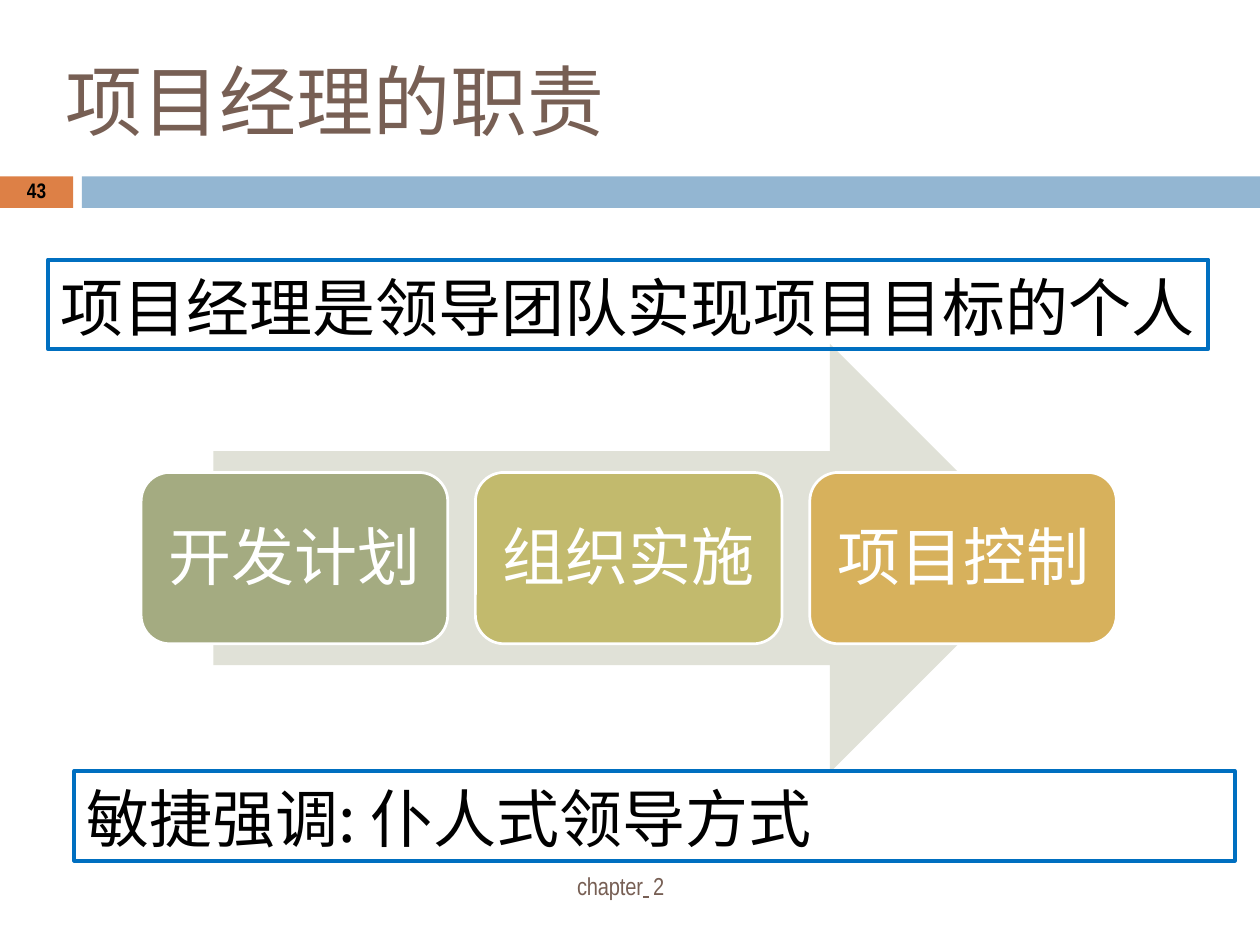
from lxml import etree
from pptx import Presentation
from pptx.dml.color import RGBColor
from pptx.enum.shapes import MSO_SHAPE
from pptx.enum.text import MSO_ANCHOR, PP_ALIGN
from pptx.oxml.ns import qn
from pptx.util import Inches, Pt

RECTANGLE = MSO_SHAPE.RECTANGLE
ROUNDED = MSO_SHAPE.ROUNDED_RECTANGLE
RIGHT_ARROW = MSO_SHAPE.RIGHT_ARROW
TOP = MSO_ANCHOR.TOP
LEFT, CENTER = PP_ALIGN.LEFT, PP_ALIGN.CENTER

WHITE = RGBColor(0xFF, 0xFF, 0xFF)
BLACK = RGBColor(0x00, 0x00, 0x00)
BROWN = RGBColor(0x77, 0x5F, 0x54)
ORANGE = RGBColor(0xDD, 0x80, 0x46)
LIGHT_BLUE = RGBColor(0x93, 0xB6, 0xD2)
BORDER_BLUE = RGBColor(0x00, 0x6F, 0xC0)
ARROW_GRAY = RGBColor(0xE0, 0xE1, 0xD7)
GREEN = RGBColor(0xA4, 0xAB, 0x81)
OLIVE = RGBColor(0xC2, 0xBA, 0x6D)
GOLD = RGBColor(0xD7, 0xB1, 0x5C)

TITLE_FONT = "Noto Sans CJK SC"
BODY_FONT = "Noto Sans CJK JP"
LATIN_FONT = "Arial Narrow"
CJK_LINE_HEIGHT = 1.3  # line pitch as a share of the font size

SLIDE_WIDTH, SLIDE_HEIGHT = 10, 7.5
STEPS = [("开发计划", GREEN), ("组织实施", OLIVE), ("项目控制", GOLD)]


def add_panel(slide, preset, box, fill=None, line=None, line_width=1):
    shape = slide.shapes.add_shape(preset, *map(Inches, box))
    shape.shadow.inherit = False
    if fill is None:
        shape.fill.background()
    else:
        shape.fill.solid()
        shape.fill.fore_color.rgb = fill
    if line is None:
        shape.line.fill.background()
    else:
        shape.line.color.rgb = line
        shape.line.width = Pt(line_width)
    return shape


def add_run(paragraph, text, size, color, font=BODY_FONT, bold=False,
            underline=False, spacing=0):
    """Spacing is the extra gap between letters, in points."""
    run = paragraph.add_run()
    run.text = text
    run.font.size = Pt(size)
    run.font.color.rgb = color
    run.font.name = font
    run.font.bold = bold
    run.font.underline = underline
    properties = run.font._element
    properties.set("spc", str(round(spacing * 100)))
    east_asian = etree.Element(qn("a:ea"), typeface=font)
    properties.find(qn("a:latin")).addnext(east_asian)


def write(shape, text="", align=LEFT, left=0, top=0.01, line_height=None,
          **run_format):
    frame = shape.text_frame
    frame.word_wrap = False
    frame.vertical_anchor = TOP
    frame.margin_left, frame.margin_top = Inches(left), Inches(top)
    frame.margin_right = frame.margin_bottom = 0
    paragraph = frame.paragraphs[0]
    paragraph.alignment = align
    if line_height:
        paragraph.line_spacing = Pt(run_format["size"] * line_height)
    if text:
        add_run(paragraph, text, **run_format)
    return paragraph


def add_text(slide, box, text="", **text_format):
    return write(slide.shapes.add_textbox(*map(Inches, box)), text, **text_format)


def add_header(slide, box, title, number):
    left, top, width, height = box
    band_height = 0.25
    band_top = top + height - band_height
    number_width, gap = 0.58, 0.07
    band_left = left + number_width + gap
    add_panel(slide, RECTANGLE, (left, band_top, number_width, band_height), ORANGE)
    add_panel(slide, RECTANGLE,
              (band_left, band_top, left + width - band_left, band_height), LIGHT_BLUE)
    add_text(slide, (left + 0.52, top + 0.33, 4.31, 0.76), title, top=0.03,
             size=44, color=BROWN, font=TITLE_FONT, line_height=CJK_LINE_HEIGHT)
    add_text(slide, (left, band_top, number_width, band_height), number,
             align=CENTER, size=12, color=BLACK, font=LATIN_FONT, bold=True)


def add_process(slide, box, steps):
    """A wide arrow with a row of equal step cards across its middle."""
    left, top, width, height = box
    inset = width * 0.074
    add_panel(slide, RIGHT_ARROW, (left + inset, top, width - 2 * inset, height),
              ARROW_GRAY)
    gap = 0.22
    card_width = (width - gap * (len(steps) - 1)) / len(steps)
    card_height = height * 0.4
    card_top = top + (height - card_height) / 2
    for index, (label, color) in enumerate(steps):
        card_left = left + index * (card_width + gap)
        card = add_panel(slide, ROUNDED, (card_left, card_top, card_width, card_height),
                         color, WHITE, 1.56)
        write(card, label, align=CENTER, top=0.24, size=36, color=WHITE,
              line_height=CJK_LINE_HEIGHT)


def add_banner(slide, box, text):
    banner = add_panel(slide, RECTANGLE, box, line=BORDER_BLUE, line_width=2.28)
    write(banner, text, left=0.1, top=0.02, size=36, color=BLACK,
          line_height=CJK_LINE_HEIGHT)


def add_footer(slide, box):
    paragraph = add_text(slide, box, top=0)
    footer_format = dict(size=14, color=BROWN, font=LATIN_FONT)
    add_run(paragraph, "chapter", spacing=-0.1, **footer_format)
    add_run(paragraph, " ", spacing=2.5, underline=True, **footer_format)
    add_run(paragraph, "2", **footer_format)


def main():
    presentation = Presentation()
    presentation.slide_width = Inches(SLIDE_WIDTH)
    presentation.slide_height = Inches(SLIDE_HEIGHT)
    slide = presentation.slides.add_slide(presentation.slide_layouts[6])
    add_header(slide, (0, 0, SLIDE_WIDTH, 1.65), "项目经理的职责", "43")
    add_process(slide, (1.12, 2.73, 7.74, 3.4), STEPS)
    add_footer(slide, (4.58, 6.91, 0.82, 0.25))
    add_banner(slide, (0.38, 2.06, 9.21, 0.71), "项目经理是领导团队实现项目目标的个人")
    add_banner(slide, (0.59, 6.12, 9.21, 0.71), "敏捷强调: 仆人式领导方式")
    presentation.save("out.pptx")


if __name__ == "__main__":
    main()
